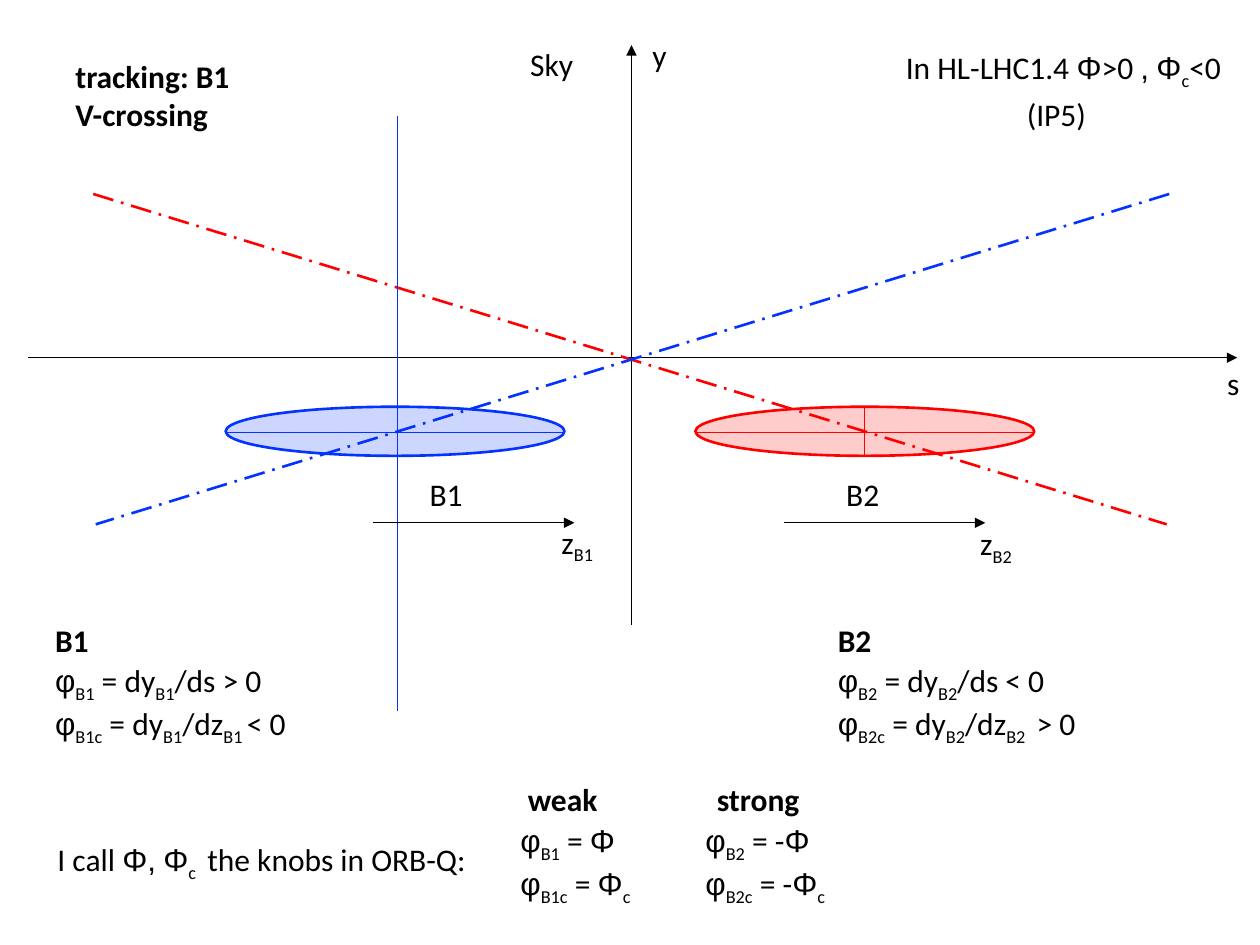
from itertools import groupby
from lxml import etree
from pptx import Presentation
from pptx.dml.color import RGBColor
from pptx.enum import dml, shapes, text
from pptx.oxml import ns
from pptx.util import Cm, Pt

HUES = {"ink": "000000", "blue": "0432FF", "red": "FF0000"}
GREEK = "φΦ,"

deck = Presentation()
deck.slide_width, deck.slide_height = Cm(25.4), Cm(19.05)
slide = deck.slides.add_slide(deck.slide_layouts[6])


def line(home, x1, y1, x2, y2, hue="ink", width=0.5, dash=None, arrow=False):
    """Draw a straight line in home, in cm, with an optional arrowhead at its end."""
    rule = home.shapes.add_connector(
        shapes.MSO_CONNECTOR.STRAIGHT, Cm(x1), Cm(y1), Cm(x2), Cm(y2))
    rule.line.color.rgb = RGBColor.from_string(HUES[hue])
    rule.line.width = Pt(width)
    if dash:
        rule.line.dash_style = dash
    if arrow:
        etree.SubElement(rule.line._get_or_add_ln(), ns.qn("a:tailEnd"), type="triangle")
    etree.SubElement(rule._element.spPr, ns.qn("a:effectLst"))


def write(words, x, y, w, h=1.02, bold=None, wrap=False, size=18):
    """Add a text box, in cm; parts between underscores are subscripts."""
    box = slide.shapes.add_textbox(Cm(x), Cm(y), Cm(w), Cm(h))
    frame = box.text_frame
    frame.word_wrap = wrap
    frame.auto_size = text.MSO_AUTO_SIZE.SHAPE_TO_FIT_TEXT
    for i, row in enumerate(words.split("\n")):
        para = frame.paragraphs[0] if i == 0 else frame.add_paragraph()
        for j, part in enumerate(row.split("_")):
            for greek, chars in groupby(part, lambda c: c in GREEK):
                run = para.add_run()
                run.text = "".join(chars)
                run.font.size, run.font.bold = Pt(size), bold
                run.font.name = "Arial" if greek else "Calibri"
                run.font.color.rgb = RGBColor.from_string(HUES["ink"])
                if j % 2:
                    run._r.get_or_add_rPr().set("baseline", "-25000")


# Axes and beam paths
line(slide, 12.73, 12.6, 12.73, 0.91, arrow=True)
line(slide, 0.56, 7.21, 24.94, 7.21, arrow=True)
dash = dml.MSO_LINE.LONG_DASH_DOT
line(slide, 1.88, 3.91, 23.52, 10.57, "red", 1.5, dash)
line(slide, 23.57, 3.91, 1.93, 10.57, "blue", 1.5, dash)

# Bunches: hue, left edge, then place, top and foot of the upright line
for hue, left, mid, top, foot in (
        ("blue", 4.55, 8, 2.34, 14.33), ("red", 14.02, 17.42, 8.2, 9.19)):
    bunch = slide.shapes.add_group_shape()
    oval = bunch.shapes.add_shape(
        shapes.MSO_SHAPE.OVAL, Cm(left), Cm(8.2), Cm(6.83), Cm(0.99))
    oval.shadow.inherit = False
    oval.fill.solid()
    oval.fill.fore_color.rgb = RGBColor.from_string(HUES[hue])
    tint = oval._element.spPr.find(".//" + ns.qn("a:srgbClr"))
    etree.SubElement(tint, ns.qn("a:alpha"), val="20000")
    oval.line.color.rgb = RGBColor.from_string(HUES[hue])
    oval.line.width = Pt(1.5)
    line(bunch, left, 8.71, left + 6.83, 8.71, hue, 0.25)
    line(bunch, mid, top, mid, foot, hue, 0.25)

# Beams: name, left of label, arrow, z label, its top, equations, knobs, signs
beams = (
    ("B1", 8.41, 7.52, 11.07, 10.41, 0.86, 10.24, "> 0", "< 0", "", ""),
    ("B2", 16.81, 15.8, 19.51, 10.44, 16.64, 13.97, "< 0", " > 0", "-", " "),
)
for name, label, start, zed, drop, left, knob, slope, tilt, sign, gap in beams:
    write(name, label, 9.45, 1.19)
    line(slide, start, 10.54, start + 4.06, 10.54, arrow=True)
    write(f"z_{name}_", zed, drop, 1.22, 1.8)
    write(name, left, 12.4, 1.19, bold=True)
    write(f"φ_{name}_ = dy_{name}_/ds {slope}\n"
          f"φ_{name}c_ = dy_{name}_/dz_{name} _{tilt}",
          left, 13.21, 5.84, 1.8, wrap=True)
    write(f"φ_{name}_ = {sign}Φ{gap}\nφ_{name}c_ = {sign}Φ_c_",
          knob, 16.43, 5.84, 1.8, wrap=True)

# Labels
write("y", 12.9, 0.61, 0.81)
write("s", 24.49, 7.21, 0.79)
write("I call Φ, Φ_c _ the knobs in ORB-Q:", 0.91, 16.81, 8.99)
write("In HL-LHC1.4 Φ>0 , Φ_c_<0 ", 18.01, 0.84, 7.09)
write("Sky", 10.44, 0.79, 1.4)
write("(IP5)", 20.45, 1.8, 1.73)
write("tracking: B1\nV-crossing", 1.27, 1.02, 3.66, 1.8, bold=True)
write("weak", 10.39, 15.6, 1.93, bold=True)
write("strong", 14.2, 15.6, 2.18, bold=True)

deck.save("out.pptx")
